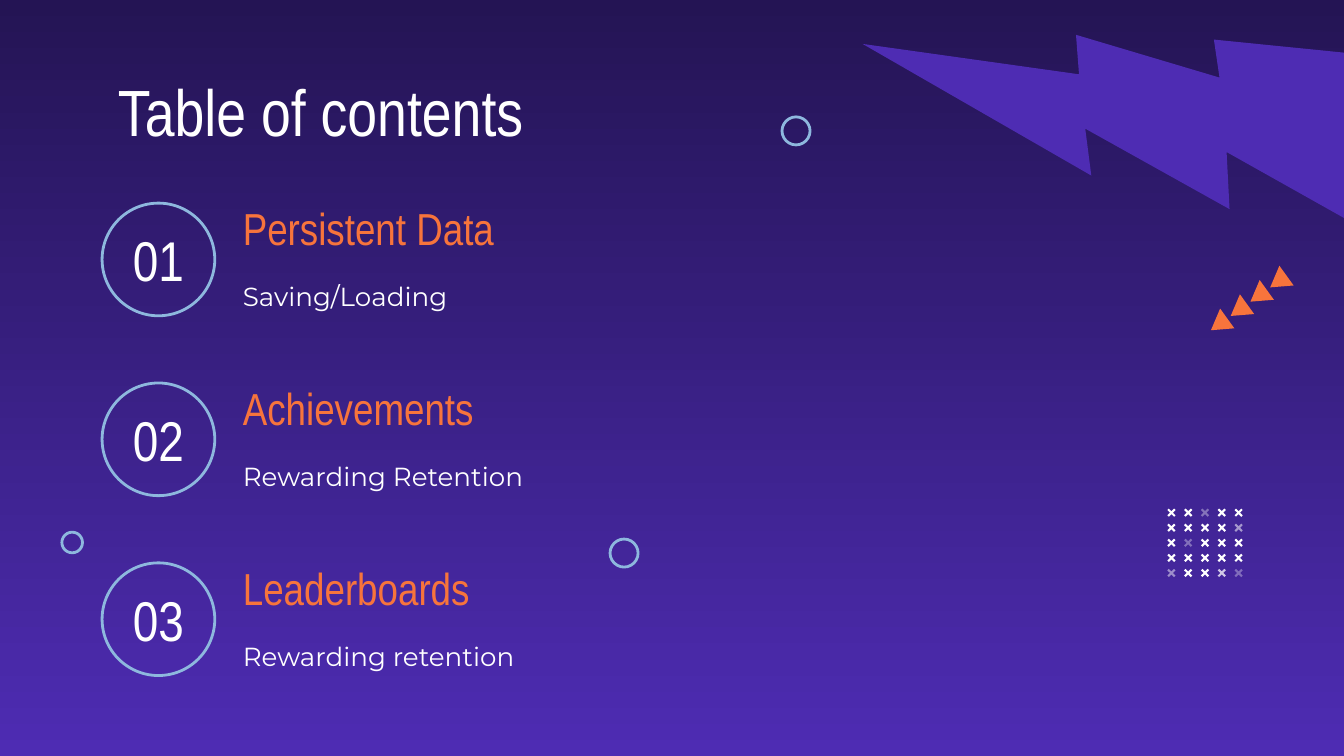
from lxml.etree import SubElement
from pptx import Presentation
from pptx.dml.color import RGBColor
from pptx.enum.shapes import MSO_SHAPE
from pptx.enum.text import MSO_ANCHOR, MSO_AUTO_SIZE, PP_ALIGN
from pptx.oxml.ns import qn
from pptx.util import Cm, Pt

COLORS = {"night": "241454", "violet": "4E2CB3", "orange": "F7743C",
          "sky": "8EB8DE", "white": "FFFFFF"}

FRAME = {"word_wrap": True, "auto_size": MSO_AUTO_SIZE.NONE,
         "margin_left": Cm(0.25), "margin_right": Cm(0.25),
         "margin_top": Cm(0.25), "margin_bottom": Cm(0.25)}
TITLE = {"name": "Arial Narrow", "size": Pt(35)}
NUMBER = {"name": "Arial Narrow", "size": Pt(30)}
HEADING = {"name": "Arial Narrow", "size": Pt(24)}
DETAIL = {"name": "Montserrat", "size": Pt(14)}

TOPICS = [("01", "Persistent Data", "Saving/Loading"),
          ("02", "Achievements", "Rewarding Retention"),
          ("03", "Leaderboards", "Rewarding retention")]
TOPIC_PITCH = 3.4

RINGS = [(1.17, 10.06, 0.39, 0.39), (14.78, 2.21, 0.53, 0.53),
         (11.53, 10.19, 0.53, 0.53)]

CROSS_OPACITY = [[100, 100, 36, 100, 100],
                 [100, 100, 100, 100, 53],
                 [100, 34, 100, 100, 100],
                 [100, 100, 100, 100, 100],
                 [48, 100, 100, 75, 33]]


def rgb(color):
    """Return the named colour."""
    return RGBColor.from_string(COLORS[color])


def lengths(box):
    """Turn a box given in centimetres into lengths."""
    return [Cm(value) for value in box]


def apply_format(target, values):
    """Set each format value on the target."""
    for key, value in values.items():
        setattr(target, key, value)


def write(holder, text, font, color="white", align=PP_ALIGN.LEFT,
          anchor=MSO_ANCHOR.MIDDLE):
    """Put one formatted line of text in a box or placeholder."""
    frame = holder.text_frame
    apply_format(frame, {**FRAME, "vertical_anchor": anchor})
    line = frame.paragraphs[0]
    line.alignment = align
    words = line.add_run()
    words.text = text
    apply_format(words.font, font)
    words.font.color.rgb = rgb(color)


def add_solid(slide, preset, box, color, rotation, opacity=100):
    """Add a filled shape without outline."""
    solid = slide.shapes.add_shape(preset, *lengths(box))
    solid.shadow.inherit = False
    solid.rotation = rotation
    solid.fill.solid()
    solid.fill.fore_color.rgb = rgb(color)
    solid.line.fill.background()
    if opacity < 100:
        tint = solid.fill._xPr.find(".//" + qn("a:srgbClr"))
        SubElement(tint, qn("a:alpha"), val=str(opacity * 1000))
    return solid


def add_ring(slide, box):
    """Add an unfilled circle."""
    ring = slide.shapes.add_shape(MSO_SHAPE.OVAL, *lengths(box))
    ring.shadow.inherit = False
    ring.fill.background()
    ring.line.color.rgb = rgb("sky")
    ring.line.width = Pt(1.5)


def add_background(slide):
    """Fill the slide from dark at the top to violet at the bottom."""
    fill = slide.background.fill
    fill.gradient()
    fill.gradient_angle = 270
    for stop, color in zip(fill.gradient_stops, ("night", "violet")):
        stop.color.rgb = rgb(color)


def add_bolt(slide, box):
    """Add the mirrored lightning bolt."""
    bolt = add_solid(slide, MSO_SHAPE.LIGHTNING_BOLT, box, "violet", 59.9)
    bolt._element.spPr.find(qn("a:xfrm")).set("flipH", "1")


def add_title(slide, box):
    """Place the slide title."""
    title = slide.shapes.title
    apply_format(title, dict(zip(("left", "top", "width", "height"), lengths(box))))
    write(title, "Table of contents", TITLE, anchor=MSO_ANCHOR.TOP)


def add_topic(slide, box, number, heading, detail):
    """Add one contents entry, its ring as high as the box."""
    left, top, width, height = box
    add_ring(slide, (left, top, height, height))
    text_left = left + height + 0.28
    text_width = width - height - 0.28
    parts = [
        ((left - 0.07, top - 0.15, height + 0.14, height + 0.3),
         number, NUMBER, "white", PP_ALIGN.CENTER),
        ((text_left, top, text_width, 0.94),
         heading, HEADING, "orange", PP_ALIGN.LEFT),
        ((text_left, top + 0.94, text_width, 1.63),
         detail, DETAIL, "white", PP_ALIGN.LEFT),
    ]
    for part_box, *content in parts:
        write(slide.shapes.add_textbox(*lengths(part_box)), *content)


def add_crosses(slide, box):
    """Spread the grid of crosses over the box."""
    left, top, width, height = box
    size = 0.18
    across = (width - size) / (len(CROSS_OPACITY[0]) - 1)
    down = (height - size) / (len(CROSS_OPACITY) - 1)
    for row, opacities in enumerate(CROSS_OPACITY):
        for column, opacity in enumerate(opacities):
            cell = (left + column * across, top + row * down, size, size)
            cross = add_solid(slide, MSO_SHAPE.CROSS, cell, "white", 315, opacity)
            cross.adjustments[0] = 0.39


def add_triangles(slide, box, count=4):
    """Line up triangles from the top right to the bottom left of the box."""
    left, top, width, height = box
    base, rise = 0.46, 0.38
    for index in range(count):
        share = index / (count - 1)
        cell = (left + (width - base) * (1 - share),
                top + (height - rise) * share, base, rise)
        add_solid(slide, MSO_SHAPE.ISOSCELES_TRIANGLE, cell, "orange", 234.2)


def build_contents(deck):
    """Build the table of contents slide."""
    slide = deck.slides.add_slide(deck.slide_layouts[5])
    add_background(slide)
    add_bolt(slide, (17.78, -1.73, 8.05, 8.05))
    add_title(slide, (1.98, 1.09, 21.41, 1.63))
    for index, topic in enumerate(TOPICS):
        add_topic(slide, (1.93, 3.84 + index * TOPIC_PITCH, 11.07, 2.13), *topic)
    add_crosses(slide, (22.05, 9.6, 1.45, 1.32))
    for ring_box in RINGS:
        add_ring(slide, ring_box)
    add_triangles(slide, (22.81, 5.13, 1.58, 1.19))


def main():
    """Create and save the deck."""
    deck = Presentation()
    apply_format(deck, {"slide_width": Cm(25.4), "slide_height": Cm(14.29)})
    build_contents(deck)
    deck.save("out.pptx")


if __name__ == "__main__":
    main()
